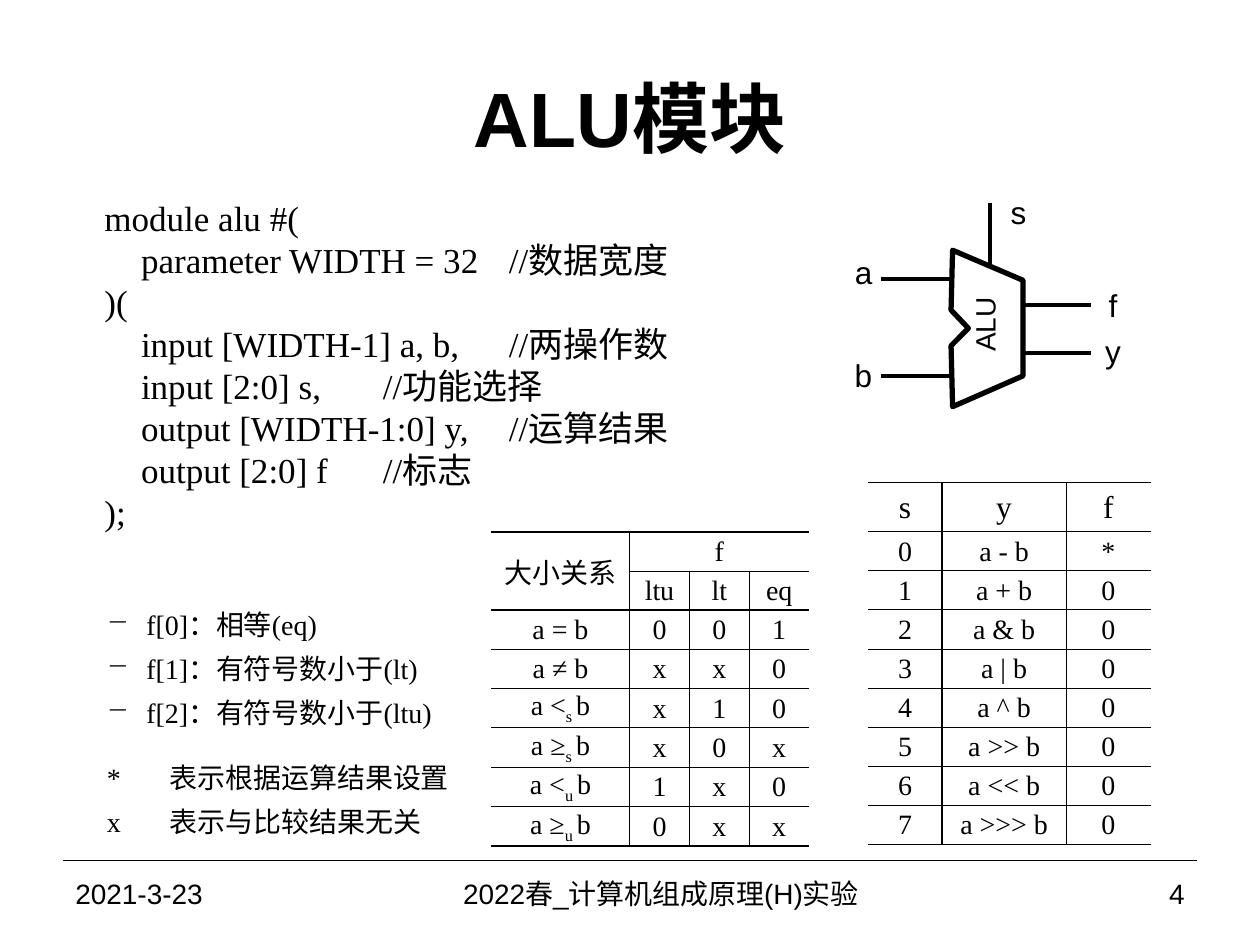
"""Build the ALU module slide with its code, symbol and truth tables."""
from lxml.etree import SubElement
from pptx import Presentation
from pptx.dml.color import RGBColor
from pptx.enum.shapes import MSO_CONNECTOR
from pptx.enum.text import MSO_ANCHOR, PP_ALIGN
from pptx.oxml.ns import qn
from pptx.util import Pt

COLORS = {"ink": "000000"}
SANS, SERIF = "Arial", "Times New Roman"
INK = RGBColor.from_string(COLORS["ink"])
PLAIN_TABLE = "{2D5ABB26-0587-4C30-8999-92F81FD0307C}"

CODE = [
    (0, "module alu #("),
    (1, "parameter WIDTH = 32\t//数据宽度"),
    (0, ")("),
    (1, "input [WIDTH-1] a, b,\t//两操作数"),
    (1, "input [2:0] s,\t//功能选择"),
    (1, "output [WIDTH-1:0] y,\t//运算结果"),
    (1, "output [2:0] f\t//标志"),
    (0, ");"),
]
FLAGS = ["f[0]：相等(eq)", "f[1]：有符号数小于(lt)", "f[2]：有符号数小于(ltu)"]
LEGEND = ["*\t表示根据运算结果设置", "x\t表示与比较结果无关"]
OPERATIONS = ["a - b", "a + b", "a & b", "a | b", "a ^ b", "a >> b", "a << b", "a >>> b"]
COMPARISONS = [
    ["大小关系", "f", "", ""],
    ["", "ltu", "lt", "eq"],
    ["a = b", "0", "0", "1"],
    ["a ≠ b", "x", "x", "0"],
    [("a <", "s ", "b"), "x", "1", "0"],
    [("a ≥", "s ", "b"), "x", "0", "x"],
    [("a <", "u ", "b"), "1", "x", "0"],
    [("a ≥", "u ", "b"), "0", "x", "x"],
]
PINS = [
    (503.3, 159.6, 543.6, 159.6),
    (503.3, 215, 543.6, 215),
    (583.2, 174.2, 623.5, 174.2),
    (583.2, 201.6, 623.5, 201.6),
    (565.9, 116, 565.9, 152),
]
PIN_LABELS = [("a", 493.5, 155.6), ("b", 493.3, 214.2), ("f", 636, 174),
              ("s", 582, 121.3), ("y", 636, 200.5)]
OUTLINE = [(544.4, 143), (584.6, 160.2), (584.6, 214.8), (544.4, 232.4),
           (543.5, 197.6), (553.4, 187.6), (543.5, 177.2)]


def apply_format(target, **values):
    for name, value in values.items():
        setattr(target, name, value)


def write(para, parts, size, face, bold=False):
    for index, text in enumerate((parts,) if isinstance(parts, str) else parts):
        span = para.add_run()
        span.text = text
        apply_format(span.font, size=Pt(size), name=face, bold=bold)
        span.font.color.rgb = INK
        if index == 1:
            span._r.get_or_add_rPr().set("baseline", "-25000")


def set_layout(para, margin=0, indent=0, tab=None, bullet=None):
    props = para._p.get_or_add_pPr()
    props.set("marL", str(Pt(margin)))
    props.set("indent", str(Pt(indent)))
    if bullet:
        SubElement(props, qn("a:buChar"), char=bullet)
    if tab:
        tabs = SubElement(props, qn("a:tabLst"))
        SubElement(tabs, qn("a:tab"), pos=str(Pt(tab)), algn="l")


def add_box(shapes, left, top, width, height, **values):
    frame = shapes.add_textbox(Pt(left), Pt(top), Pt(width), Pt(height)).text_frame
    settings = {"word_wrap": True, "vertical_anchor": MSO_ANCHOR.MIDDLE}
    apply_format(frame, **{**settings, **values})
    return frame


def add_label(shapes, area, text, size, align=PP_ALIGN.CENTER, bold=False, **values):
    frame = add_box(shapes, *area, **values)
    para = frame.paragraphs[0]
    para.alignment = align
    write(para, text, size, SANS, bold)
    return frame


def add_line(shapes, x1, y1, x2, y2, weight):
    line = shapes.add_connector(MSO_CONNECTOR.STRAIGHT, Pt(x1), Pt(y1), Pt(x2), Pt(y2))
    line.line.color.rgb = INK
    line.line.width = Pt(weight)
    SubElement(line._element.spPr, qn("a:effectLst"))


def add_symbol(page):
    shapes = page.shapes.add_group_shape().shapes
    for pin in PINS:
        add_line(shapes, *pin, 2.25)
    corners = [(Pt(x), Pt(y)) for x, y in OUTLINE]
    builder = shapes.build_freeform(*corners[0], scale=1)
    builder.add_line_segments(corners[1:], close=True)
    body = builder.convert_to_shape()
    body.shadow.inherit = False
    body.fill.background()
    body.line.color.rgb = INK
    body.line.width = Pt(3)
    margins = dict.fromkeys(("margin_left", "margin_right", "margin_top", "margin_bottom"), 0)
    for text, x, y in PIN_LABELS:
        add_label(shapes, (x - 12, y - 9.7, 24, 19.4), text, 18, word_wrap=False, **margins)
    name = add_label(shapes, (549.4, 169.2, 33.8, 38.9), "ALU", 16, PP_ALIGN.LEFT,
                     word_wrap=False, vertical_anchor=MSO_ANCHOR.TOP)
    name._txBody.bodyPr.set("vert", "vert270")


def add_code(page):
    frame = add_box(page.shapes, 31.7, 108.7, 445.7, 200.9, vertical_anchor=MSO_ANCHOR.TOP)
    for index, (level, text) in enumerate(CODE):
        para = frame.add_paragraph() if index else frame.paragraphs[0]
        apply_format(para, alignment=PP_ALIGN.JUSTIFY, line_spacing=Pt(24))
        set_layout(para, indent=20.9 * (level + 1), tab=256)
        write(para, text, 20, SERIF)


def add_notes_on_flags(page):
    frame = add_box(page.shapes, 54, 337.7, 219.6, 150.5)
    for index, text in enumerate(FLAGS + LEGEND):
        para = frame.add_paragraph() if index else frame.paragraphs[0]
        before = 12 if index == len(FLAGS) else 0
        apply_format(para, space_before=Pt(before), space_after=Pt(6))
        if text in FLAGS:
            set_layout(para, margin=22.5, indent=-22.5, bullet="−")
        else:
            set_layout(para, tab=19.6)
        write(para, text, 16, SERIF)


def set_borders(cell, weights):
    props = cell._tc.get_or_add_tcPr()
    for side, weight in zip("LRTB", weights):
        if weight:
            line = SubElement(props, qn(f"a:ln{side}"), w=str(Pt(weight)))
            fill = SubElement(line, qn("a:solidFill"))
            SubElement(fill, qn("a:srgbClr"), val=COLORS["ink"])


def add_grid(page, left, top, widths, heights, rows, heading_rows, merges=(), head_size=16):
    table = page.shapes.add_table(len(rows), len(widths), Pt(left), Pt(top),
                                  Pt(sum(widths)), Pt(sum(heights))).table
    table._tbl.tblPr.find(qn("a:tableStyleId")).text = PLAIN_TABLE
    apply_format(table, first_row=False, horz_banding=False)
    for column, width in zip(table.columns, widths):
        column.width = Pt(width)
    for row, height in zip(table.rows, heights):
        row.height = Pt(height)
    for first, last in merges:
        table.cell(*first).merge(table.cell(*last))
    across = [1 if edge in (0, heading_rows, len(rows)) else 0.5 for edge in range(len(rows) + 1)]
    down = [0, 1] + [0.5] * (len(widths) - 2) + [0]
    for r, values in enumerate(rows):
        for c, value in enumerate(values):
            cell = table.cell(r, c)
            if not cell.is_spanned:
                right = c + cell.span_width
                bottom = r + cell.span_height
                set_borders(cell, (down[c], down[right], across[r], across[bottom]))
                para = cell.text_frame.paragraphs[0]
                para.alignment = PP_ALIGN.CENTER
                write(para, value, head_size if r < heading_rows else 16, SERIF)
            cell.fill.background()
            apply_format(cell, vertical_anchor=MSO_ANCHOR.MIDDLE, margin_left=Pt(0.7),
                         margin_right=Pt(0.7), margin_top=Pt(0.7), margin_bottom=0)


def main():
    deck = Presentation()
    apply_format(deck, slide_width=Pt(720), slide_height=Pt(540))
    page = deck.slides.add_slide(deck.slide_layouts[6])
    add_line(page.shapes, 36, 491.8, 684, 491.8, 0.75)
    add_label(page.shapes, (36, 21.6, 648, 90), "ALU模块", 44, bold=True)
    add_symbol(page)
    add_notes_on_flags(page)
    add_code(page)
    for left, width, text, align in [
        (203.8, 347.8, "2022春_计算机组成原理(H)实验", PP_ALIGN.CENTER),
        (552.2, 131.8, "4", PP_ALIGN.RIGHT),
        (36, 167.8, "2021-3-23", PP_ALIGN.LEFT),
    ]:
        add_label(page.shapes, (left, 491.8, width, 37.4), text, 16, align)
    functions = [["s", "y", "f"]]
    functions += [[str(i), y, "0" if i else "*"] for i, y in enumerate(OPERATIONS)]
    add_grid(page, 496, 275.8, [42.4, 70.8, 48.3], [28] + [22.35] * 8, functions, 1, head_size=18)
    add_grid(page, 280.8, 304, [79, 34.2, 34.2, 34.2], [22.35] * 8, COMPARISONS, 2,
             merges=[((0, 0), (1, 0)), ((0, 1), (0, 3))])
    deck.save("out.pptx")


main()
